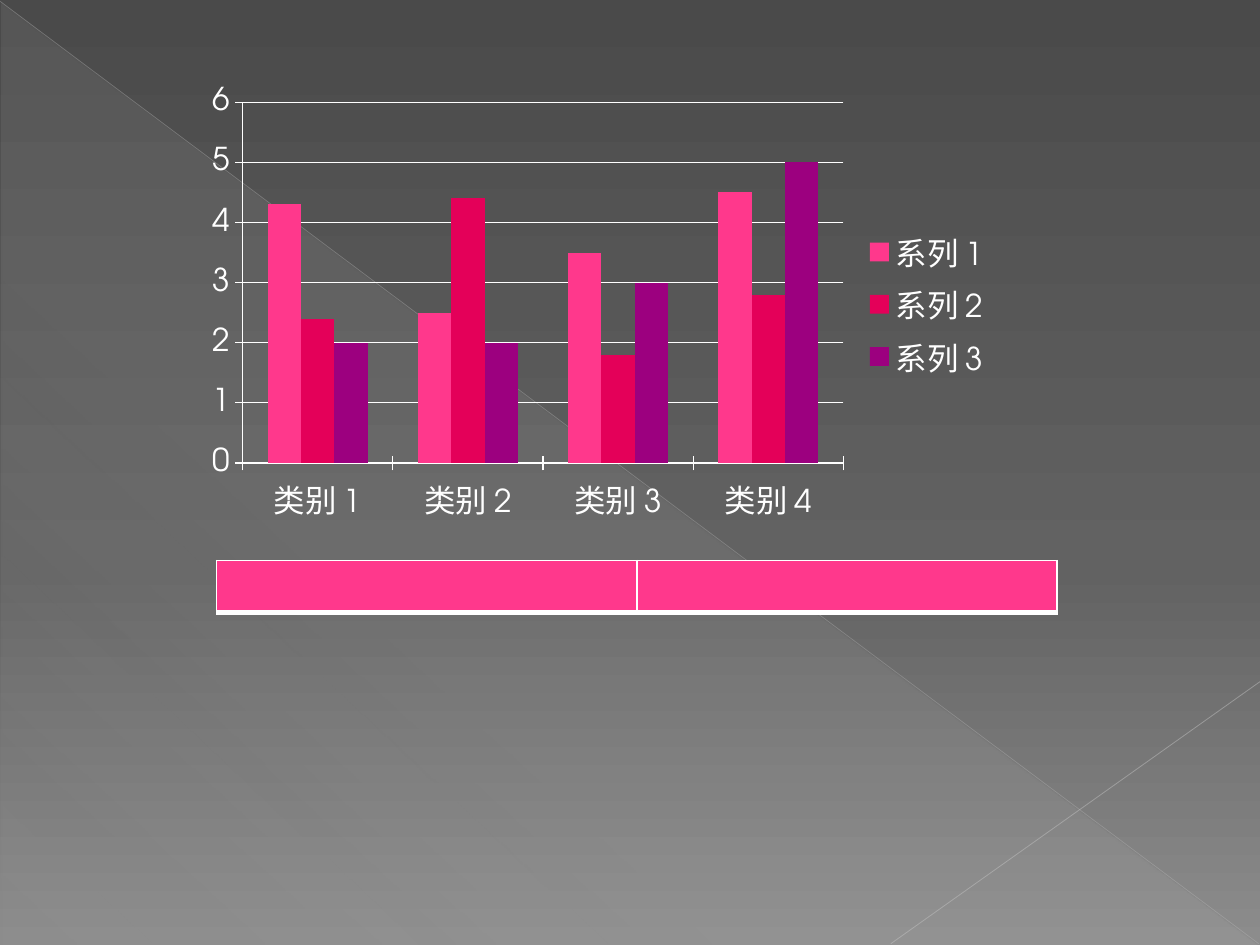
from dataclasses import dataclass

from lxml import etree
from pptx import Presentation
from pptx.chart.data import CategoryChartData
from pptx.dml.color import RGBColor
from pptx.enum.chart import XL_CHART_TYPE, XL_LEGEND_POSITION, XL_TICK_MARK
from pptx.enum.shapes import MSO_CONNECTOR, MSO_SHAPE
from pptx.oxml.ns import qn
from pptx.util import Inches, Pt

COLUMNS = XL_CHART_TYPE.COLUMN_CLUSTERED
LEGEND_RIGHT = XL_LEGEND_POSITION.RIGHT
TICK_CROSS = XL_TICK_MARK.CROSS
STRAIGHT = MSO_CONNECTOR.STRAIGHT
RIGHT_TRIANGLE = MSO_SHAPE.RIGHT_TRIANGLE

FONT = "TeX Gyre Adventor"
WHITE = "FFFFFF"
PINK = "FF388C"


@dataclass
class Stop:
    position: int
    color: str
    opacity: int = 100


@dataclass
class Ray:
    start: tuple[float, float]
    end: tuple[float, float]
    color: str
    width: float
    opacity: int


@dataclass
class Series:
    name: str
    values: tuple[float, ...]
    color: str


BACKDROP = [Stop(0, "4A4A4A"), Stop(60, "626262"), Stop(100, "8C8C8C")]
SHEEN = [Stop(0, "D2D2D2", 10), Stop(70, "D2D2D2", 8), Stop(100, "D2D2D2", 1)]
RAYS = [
    Ray((0, 0.01), (9.99, 7.49), "BFBFBF", 0.39, 35),
    Ray((10, 5.41), (7.07, 7.49), "C6C6C6", 0.47, 45),
]
CATEGORIES = ["类别 1", "类别 2", "类别 3", "类别 4"]
SERIES = [
    Series("系列 1", (4.3, 2.5, 3.5, 4.5), PINK),
    Series("系列 2", (2.4, 4.4, 1.8, 2.8), "E40059"),
    Series("系列 3", (2, 2, 3, 5), "9C007F"),
]
CELL_BORDERS = {"lnL": 1, "lnR": 1, "lnT": 1, "lnB": 3}


def rgb(color: str) -> RGBColor:
    return RGBColor.from_string(color)


def add_color(parent, color: str, opacity: int = 100) -> None:
    node = etree.SubElement(parent, qn("a:srgbClr"), val=color)
    if opacity < 100:
        etree.SubElement(node, qn("a:alpha"), val=str(opacity * 1000))


def set_gradient(fill, holder, stops: list[Stop], angle: int) -> None:
    """Swap a plain fill in its holder element for a linear gradient."""
    fill.solid()
    gradient = etree.Element(qn("a:gradFill"), rotWithShape="1")
    stop_list = etree.SubElement(gradient, qn("a:gsLst"))
    for stop in stops:
        node = etree.SubElement(stop_list, qn("a:gs"), pos=str(stop.position * 1000))
        add_color(node, stop.color, stop.opacity)
    etree.SubElement(gradient, qn("a:lin"), ang=str(angle * 60000), scaled="0")
    holder.replace(holder.find(qn("a:solidFill")), gradient)


def draw_backdrop(page) -> None:
    fill = page.background.fill
    fill.solid()
    set_gradient(fill, page.element.find(".//" + qn("p:bgPr")), BACKDROP, 90)
    triangle = page.shapes.add_shape(
        RIGHT_TRIANGLE, Inches(0.01), Inches(0.02), Inches(9.98), Inches(7.48))
    triangle.shadow.inherit = False
    triangle.line.fill.background()
    set_gradient(triangle.fill, triangle.element.spPr, SHEEN, 133)


def draw_ray(page, ray: Ray) -> None:
    line = page.shapes.add_connector(
        STRAIGHT, *(Inches(value) for value in ray.start + ray.end))
    line.line.width = Pt(ray.width)
    line.line.color.rgb = rgb(ray.color)
    properties = line.element.spPr
    solid = properties.find(qn("a:ln")).find(qn("a:solidFill"))
    solid.clear()
    add_color(solid, ray.color, ray.opacity)
    etree.SubElement(properties, qn("a:effectLst"))


def style_line(line, width: float = 0.75) -> None:
    line.color.rgb = rgb(WHITE)
    line.width = Pt(width)


def draw_chart(page) -> None:
    data = CategoryChartData()
    data.categories = CATEGORIES
    for series in SERIES:
        data.add_series(series.name, series.values)
    chart = page.shapes.add_chart(
        COLUMNS, Inches(1.56), Inches(0.62), Inches(6.41), Inches(3.59), data).chart
    chart.has_title = False
    chart.font.name = FONT
    chart.font.size = Pt(18)
    chart.font.color.rgb = rgb(WHITE)

    # Bars
    plot = chart.plots[0]
    plot.vary_by_categories = False
    plot.gap_width = 150
    plot.overlap = 0
    for bars, series in zip(plot.series, SERIES):
        bars.format.fill.solid()
        bars.format.fill.fore_color.rgb = rgb(series.color)

    # Axes and legend
    for axis in (chart.category_axis, chart.value_axis):
        axis.major_tick_mark = TICK_CROSS
        axis.minor_tick_mark = XL_TICK_MARK.NONE
        style_line(axis.format.line)
    scale = chart.value_axis
    scale.minimum_scale, scale.maximum_scale, scale.major_unit = 0, 6, 1
    scale.has_major_gridlines = True
    style_line(scale.major_gridlines.format.line)
    chart.has_legend = True
    chart.legend.position = LEGEND_RIGHT
    chart.legend.include_in_layout = False


def add_borders(cell) -> None:
    properties = cell._tc.get_or_add_tcPr()
    for index, (side, width) in enumerate(CELL_BORDERS.items()):
        border = etree.Element(qn(f"a:{side}"), w=str(Pt(width)))
        add_color(etree.SubElement(border, qn("a:solidFill")), WHITE)
        properties.insert(index, border)


def draw_table(page) -> None:
    table = page.shapes.add_table(
        1, 2, Inches(1.72), Inches(4.45), Inches(6.67), Inches(0.41)).table
    for cell in table.iter_cells():
        cell.fill.solid()
        cell.fill.fore_color.rgb = rgb(PINK)
        add_borders(cell)


def main() -> None:
    deck = Presentation()
    deck.slide_width, deck.slide_height = Inches(10), Inches(7.5)
    page = deck.slides.add_slide(deck.slide_layouts[6])
    draw_backdrop(page)
    for ray in RAYS:
        draw_ray(page, ray)
    draw_chart(page)
    draw_table(page)
    deck.save("out.pptx")


if __name__ == "__main__":
    main()
